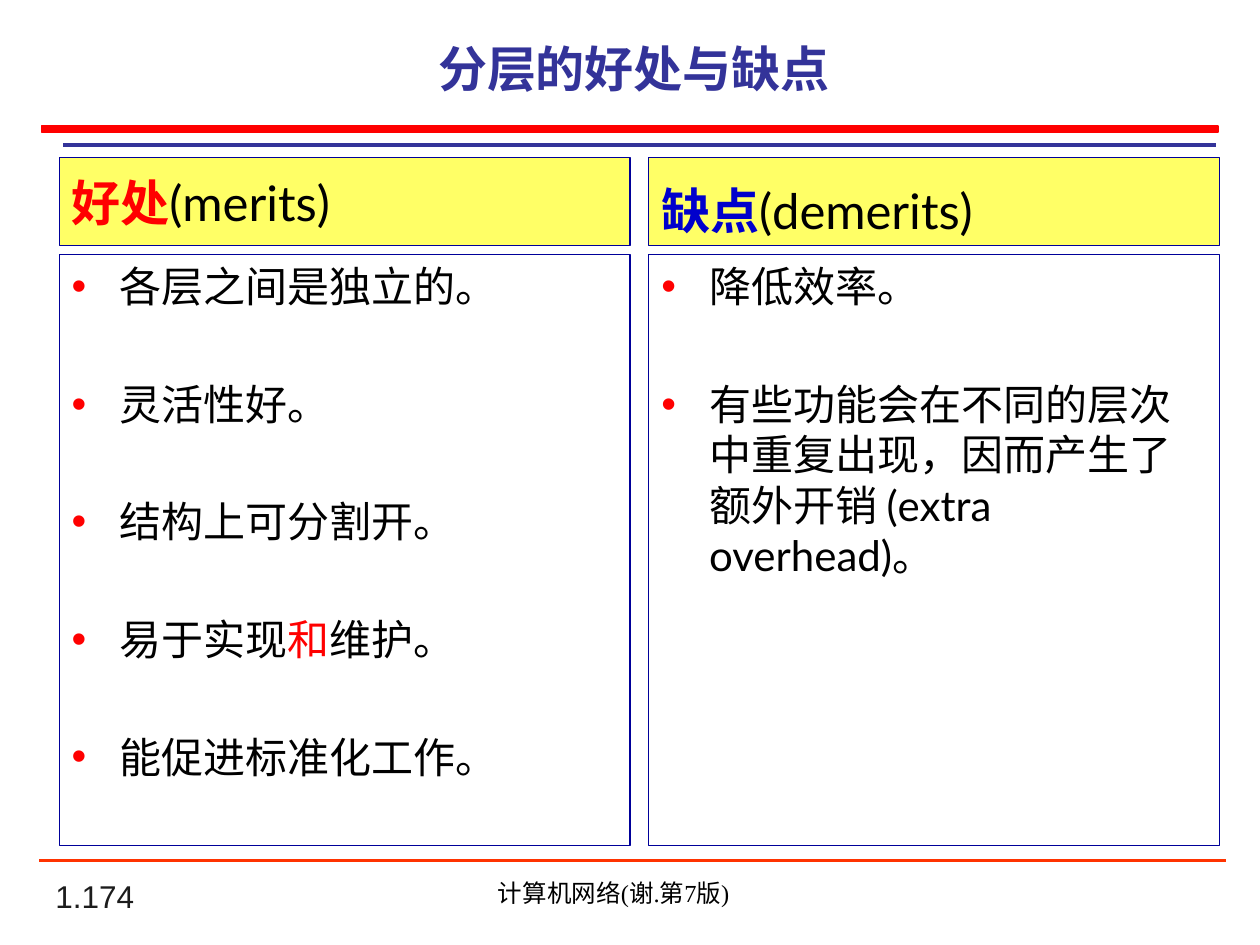
from lxml import etree
from pptx import Presentation
from pptx.dml.color import RGBColor
from pptx.enum.shapes import MSO_CONNECTOR, MSO_SHAPE
from pptx.enum.text import MSO_ANCHOR, PP_ALIGN
from pptx.oxml.ns import qn
from pptx.util import Emu, Inches, Pt

RECTANGLE = MSO_SHAPE.RECTANGLE
STRAIGHT = MSO_CONNECTOR.STRAIGHT
TOP, MIDDLE, BOTTOM = MSO_ANCHOR.TOP, MSO_ANCHOR.MIDDLE, MSO_ANCHOR.BOTTOM
LEFT, CENTER = PP_ALIGN.LEFT, PP_ALIGN.CENTER

COLORS = {
    "title": "333399", "red": "FF0000", "blue": "0000CC", "border": "000099",
    "heading": "FFFF66", "footer_rule": "FF3300", "black": "000000",
    "number": "1C1C1C",
}

# Two-column grid, in inches
GRID_LEFT, COLUMN_WIDTH, COLUMN_STEP = 0.47, 4.53, 4.68
HEADING_TOP, HEADING_HEIGHT = 1.25, 0.7
LIST_TOP, LIST_HEIGHT = 2.02, 4.69
BULLET_INDENT = Inches(0.38)
POINT_GAP = Pt(38.4)

MERITS = [
    [("各层之间是独立的。", "black")],
    [("灵活性好。", "black")],
    [("结构上可分割开。", "black")],
    [("易于实现", "black"), ("和", "red"), ("维护。", "black")],
    [("能促进标准化工作。", "black")],
]
DEMERITS = [
    [("降低效率。", "black")],
    [("有些功能会在不同的层次中重复出现，因而产生了额外开销 (extra overhead)。",
      "black")],
]
COLUMNS = [
    ("好处", "red", "(merits)", MIDDLE, MERITS),
    ("缺点", "blue", "(demerits)", BOTTOM, DEMERITS),
]


def rgb(color):
    return RGBColor.from_string(COLORS[color])


def add_run(paragraph, text, size, color, bold=False, font="Lato"):
    run = paragraph.add_run()
    run.text = text
    run.font.name = font
    run.font.size = Pt(size)
    run.font.bold = bold
    run.font.color.rgb = rgb(color)


def add_label(slide, box, text, size, color, align=LEFT, anchor=TOP,
              bold=False, font="Lato"):
    label = slide.shapes.add_textbox(*map(Inches, box))
    frame = label.text_frame
    frame.word_wrap = True
    frame.vertical_anchor = anchor
    paragraph = frame.paragraphs[0]
    paragraph.alignment = align
    add_run(paragraph, text, size, color, bold, font)


def add_panel(slide, box, fill, border, weight, anchor=TOP):
    """Add a bordered rectangle, unfilled if fill is None; return its text frame."""
    panel = slide.shapes.add_shape(RECTANGLE, *map(Inches, box))
    panel.shadow.inherit = False
    if fill:
        panel.fill.solid()
        panel.fill.fore_color.rgb = rgb(fill)
    else:
        panel.fill.background()
    panel.line.color.rgb = rgb(border)
    panel.line.width = Pt(weight)
    frame = panel.text_frame
    frame.word_wrap = True
    frame.vertical_anchor = anchor
    frame.paragraphs[0].alignment = LEFT
    return frame


def add_rule(slide, left, right, y, color, weight):
    rule = slide.shapes.add_connector(
        STRAIGHT, *map(Inches, (left, y, right, y)))
    rule.line.color.rgb = rgb(color)
    rule.line.width = Pt(weight)
    etree.SubElement(rule._element.spPr, qn("a:effectLst"))


def add_bullet(paragraph):
    properties = paragraph._p.get_or_add_pPr()
    properties.set("marL", str(Emu(BULLET_INDENT)))
    properties.set("indent", str(-BULLET_INDENT))
    bullet_color = etree.SubElement(properties, qn("a:buClr"))
    etree.SubElement(bullet_color, qn("a:srgbClr"), val=COLORS["red"])
    etree.SubElement(properties, qn("a:buFont"), typeface="Arial")
    etree.SubElement(properties, qn("a:buChar"), char="•")


def add_points(frame, points):
    for index, runs in enumerate(points):
        paragraph = frame.add_paragraph() if index else frame.paragraphs[0]
        paragraph.alignment = LEFT
        if index:
            paragraph.space_before = POINT_GAP
        add_bullet(paragraph)
        for text, color in runs:
            add_run(paragraph, text, 24, color)


def add_column(slide, index, term, term_color, english, anchor, points):
    left = GRID_LEFT + index * COLUMN_STEP
    heading = add_panel(
        slide, (left, HEADING_TOP, COLUMN_WIDTH, HEADING_HEIGHT),
        "heading", "border", 0.75, anchor).paragraphs[0]
    add_run(heading, term, 28, term_color, bold=True)
    add_run(heading, english, 28, "black")
    body = add_panel(slide, (left, LIST_TOP, COLUMN_WIDTH, LIST_HEIGHT),
                     None, "border", 0.75)
    add_points(body, points)


def add_frame(slide):
    """Add the rules and footer that surround the content."""
    add_label(slide, (0.34, 6.98, 2.08, 0.33), "1.174", 18, "number",
              anchor=BOTTOM, font="Arial")
    add_panel(slide, (0.33, 1, 9.34, 0.05), "red", "red", 1)
    add_rule(slide, 0.31, 9.73, 6.83, "footer_rule", 1.5)
    add_label(slide, (2.83, 6.92, 4.08, 0.34), "计算机网络(谢.第7版)", 14,
              "black", align=CENTER, font="Times New Roman")
    add_rule(slide, 0.5, 9.65, 1.15, "title", 2.25)


def main():
    deck = Presentation()
    deck.slide_width, deck.slide_height = Inches(10), Inches(7.5)
    slide = deck.slides.add_slide(deck.slide_layouts[6])
    add_frame(slide)
    add_label(slide, (0.5, 0.21, 9.15, 0.65), "分层的好处与缺点 ", 28, "title",
              align=CENTER, anchor=MIDDLE, bold=True)
    for index, column in enumerate(COLUMNS):
        add_column(slide, index, *column)
    deck.save("out.pptx")


if __name__ == "__main__":
    main()
